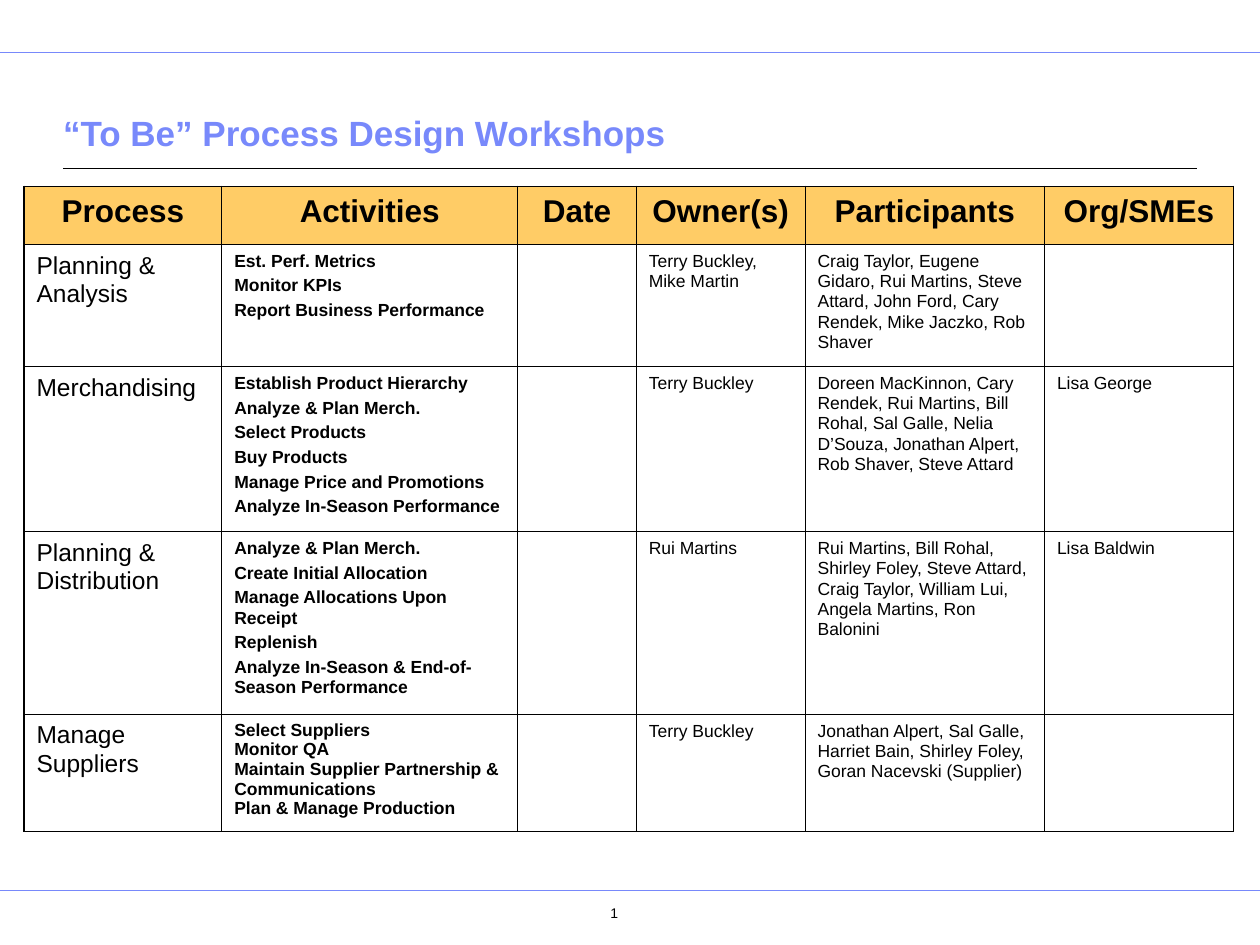
"""Build the "To Be" process design workshops slide with its schedule table."""
from dataclasses import dataclass

from lxml.etree import SubElement
from pptx import Presentation
from pptx.dml.color import RGBColor as Rgb
from pptx.enum.shapes import MSO_CONNECTOR as Connector
from pptx.enum.text import MSO_ANCHOR as Anchor, PP_ALIGN as Align
from pptx.oxml.ns import qn
from pptx.util import Inches, Pt


@dataclass(frozen=True)
class Theme:
    font: str = "Arial"
    accent: Rgb = Rgb(0x78, 0x89, 0xFB)
    ink: Rgb = Rgb(0, 0, 0)
    header_fill: Rgb = Rgb(0xFF, 0xCC, 0x66)
    title_size: int = 20
    header_size: int = 18
    process_size: int = 14
    detail_size: int = 10
    number_size: int = 8
    inner_border: float = 0.45
    outer_border: float = 1.08


theme = Theme()


def write(paragraph, text, size, color, bold=False):
    run = paragraph.add_run()
    run.text = text
    run.font.name = theme.font
    run.font.size = Pt(size)
    run.font.bold = bold
    run.font.color.rgb = color


def add_border(cell, side, width):
    border = SubElement(cell._tc.get_or_add_tcPr(), qn(f"a:ln{side}"), w=str(Pt(width)))
    fill = SubElement(border, qn("a:solidFill"))
    SubElement(fill, qn("a:srgbClr"), val=str(theme.ink))


headers = ["Process", "Activities", "Date", "Owner(s)", "Participants", "Org/SMEs"]
workshops = [
    ["Planning & Analysis",
     ["Est. Perf. Metrics", "Monitor KPIs", "Report Business Performance"],
     "", "Terry Buckley, Mike Martin",
     "Craig Taylor, Eugene Gidaro, Rui Martins, Steve Attard, John Ford, "
     "Cary Rendek, Mike Jaczko, Rob Shaver", ""],
    ["Merchandising",
     ["Establish Product Hierarchy", "Analyze & Plan Merch.", "Select Products",
      "Buy Products", "Manage Price and Promotions", "Analyze In-Season Performance"],
     "", "Terry Buckley",
     "Doreen MacKinnon, Cary Rendek, Rui Martins, Bill Rohal, Sal Galle, "
     "Nelia D’Souza, Jonathan Alpert, Rob Shaver, Steve Attard", "Lisa George"],
    ["Planning & Distribution",
     ["Analyze & Plan Merch.", "Create Initial Allocation",
      "Manage Allocations Upon Receipt", "Replenish",
      "Analyze In-Season & End-of-Season Performance"],
     "", "Rui Martins",
     "Rui Martins, Bill Rohal, Shirley Foley, Steve Attard, Craig Taylor, "
     "William Lui, Angela Martins, Ron Balonini", "Lisa Baldwin"],
    ["Manage Suppliers",
     ["Select Suppliers", "Monitor QA",
      "Maintain Supplier Partnership & Communications", "Plan & Manage Production"],
     "", "Terry Buckley",
     "Jonathan Alpert, Sal Galle, Harriet Bain, Shirley Foley, Goran Nacevski "
     "(Supplier)", ""],
]
column_widths = [1.57, 2.35, 0.94, 1.34, 1.9, 1.5]
row_heights = [0.46, 0.97, 1.31, 1.45, 0.93]

deck = Presentation()
deck.slide_width, deck.slide_height = Inches(10), Inches(7.5)
slide = deck.slides.add_slide(deck.slide_layouts[5])

rules = [
    (0, 10, 0.42, theme.accent, 0.5),
    (0, 10, 7.07, theme.accent, 0.5),
    (0.5, 9.5, 1.34, theme.ink, 0.75),
]
for start, end, y, color, width in rules:
    rule = slide.shapes.add_connector(
        Connector.STRAIGHT, Inches(start), Inches(y), Inches(end), Inches(y))
    rule.line.color.rgb = color
    rule.line.width = Pt(width)
    SubElement(rule._element.spPr, qn("a:effectLst"))

title = slide.shapes.title
title.left, title.top, title.width, title.height = map(Inches, (0.5, 0.64, 9, 0.63))
title_frame = title.text_frame
title_frame.margin_left = title_frame.margin_right = 0
title_frame.vertical_anchor = Anchor.BOTTOM
title_frame.paragraphs[0].alignment = Align.LEFT
write(title_frame.paragraphs[0], "“To Be” Process Design Workshops",
      theme.title_size, theme.accent, bold=True)

schedule = slide.shapes.add_table(
    len(row_heights), len(column_widths), Inches(0.19), Inches(1.48),
    Inches(sum(column_widths)), Inches(sum(row_heights))).table
schedule.first_row = schedule.horz_banding = False
for column, width in zip(schedule.columns, column_widths):
    column.width = Inches(width)
for row, height in zip(schedule.rows, row_heights):
    row.height = Inches(height)

last_row, last_column = len(row_heights) - 1, len(column_widths) - 1
for r, entries in enumerate([headers, *workshops]):
    for c, entry in enumerate(entries):
        cell = schedule.cell(r, c)
        outer_sides = {"L": c == 0, "R": c == last_column, "T": r == 0, "B": r == last_row}
        for side, is_outer in outer_sides.items():
            add_border(cell, side, theme.outer_border if is_outer else theme.inner_border)
        if r == 0:
            cell.fill.solid()
            cell.fill.fore_color.rgb = theme.header_fill
            size = theme.header_size
        else:
            cell.fill.background()
            size = theme.process_size if c == 0 else theme.detail_size
        if not entry:
            continue
        is_activities = isinstance(entry, list)
        is_compact = is_activities and r == last_row
        for i, text in enumerate(entry if is_activities else [entry]):
            frame = cell.text_frame
            paragraph = frame.add_paragraph() if i else frame.paragraphs[0]
            paragraph.alignment = Align.CENTER if r == 0 else Align.LEFT
            if not is_compact:
                paragraph.line_spacing = 1.04
                if i:
                    paragraph.space_before = Pt(2.5)
            write(paragraph, text, size, theme.ink, bold=r == 0 or is_activities)

page_number = slide.shapes.add_textbox(
    Inches(4.27), Inches(7.11), Inches(1.15), Inches(0.35)).text_frame
page_number.word_wrap = True
page_number.margin_left, page_number.margin_top = Inches(0.16), Inches(0.07)
page_number.paragraphs[0].alignment = Align.CENTER
write(page_number.paragraphs[0], "1", theme.number_size, theme.ink)

deck.save("out.pptx")
